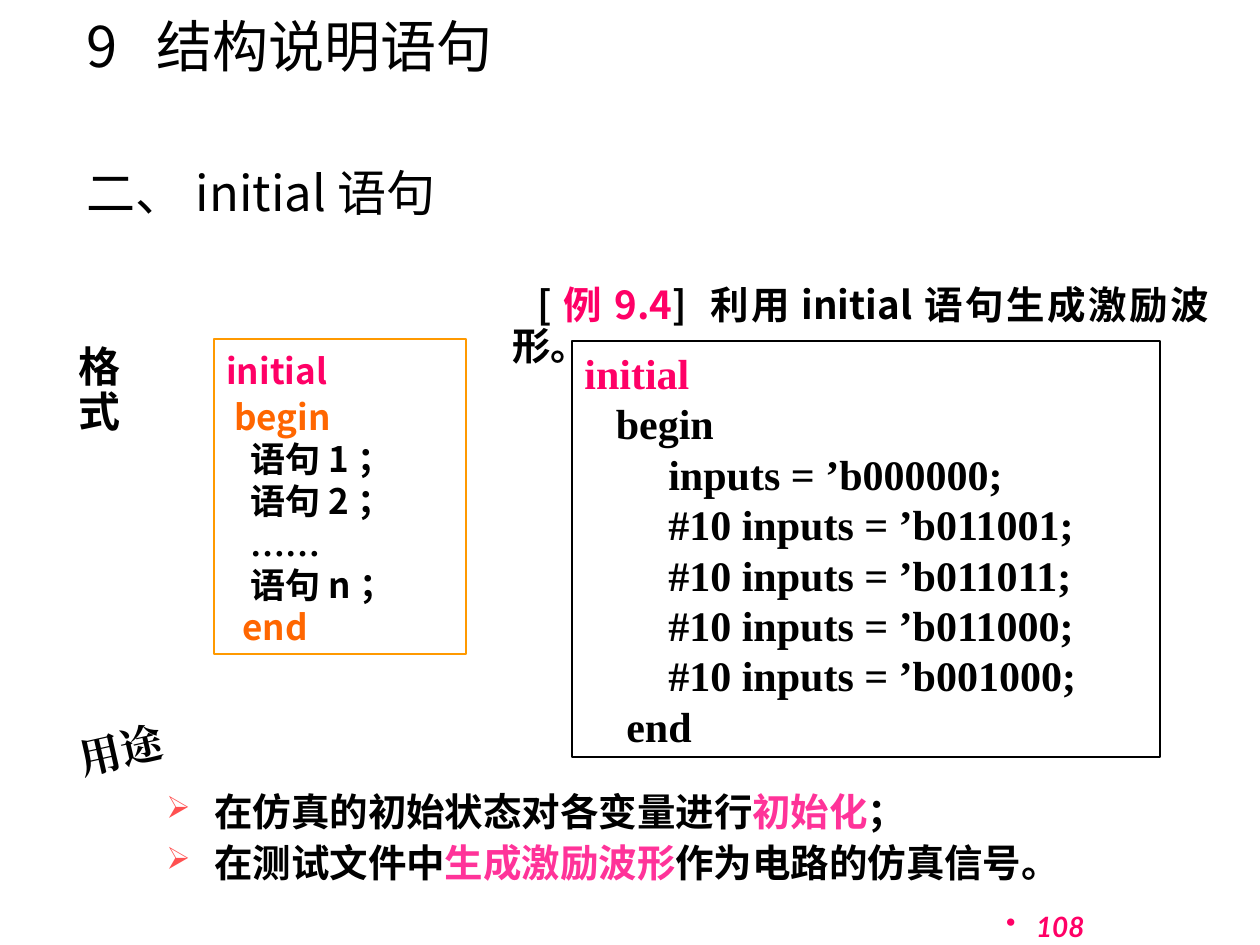
from lxml.etree import SubElement
from pptx import Presentation
from pptx.dml.color import RGBColor
from pptx.enum.shapes import MSO_SHAPE
from pptx.enum.text import MSO_ANCHOR, MSO_AUTO_SIZE, PP_ALIGN
from pptx.oxml.ns import qn
from pptx.util import Emu, Pt

SANS, SERIF = "Noto Sans CJK SC", "Times New Roman"
BLACK, ROSE, ORANGE, PINK = "000000", "FF0066", "FF6600", "FF3399"
BOLD = {"bold": True}
JUSTIFIED = {"alignment": PP_ALIGN.JUSTIFY}
SPACED = {**JUSTIFIED, "line_spacing": 1.1}
BOTTOM = {"vertical_anchor": MSO_ANCHOR.BOTTOM}
GROWING = {"auto_size": MSO_AUTO_SIZE.SHAPE_TO_FIT_TEXT}


def px(length):
    """Turn whole pixels into EMU at 126 pixels to the inch."""
    return Emu(round(length * 914400 / 126))


def color(value):
    """Turn a hex string into a colour."""
    return RGBColor.from_string(value)


def apply(target, values):
    """Set each attribute named in a dict of format values."""
    for name, value in values.items():
        setattr(target, name, value)


def add_run(paragraph, text, hex_color, size, name, font):
    """Add a run with one typeface for Latin and East Asian text."""
    run = paragraph.add_run()
    run.text = text
    apply(run.font, {"size": Pt(size), "name": name, **font})
    run.font.color.rgb = color(hex_color)
    SubElement(run.font._element, qn("a:ea"), typeface=name)


def add_bullet(paragraph, character, hex_color, percent, indent):
    """Give a paragraph a coloured bullet with a hanging indent."""
    properties = paragraph._p.get_or_add_pPr()
    properties.set("marL", str(px(indent)))
    properties.set("indent", str(-px(indent)))
    bullet_color = SubElement(properties, qn("a:buClr"))
    SubElement(bullet_color, qn("a:srgbClr"), val=hex_color)
    SubElement(properties, qn("a:buSzPct"), val=str(percent * 1000))
    SubElement(properties, qn("a:buChar"), char=character)


def add_tab(paragraph, position):
    """Add one left tab stop."""
    tabs = SubElement(paragraph._p.get_or_add_pPr(), qn("a:tabLst"))
    SubElement(tabs, qn("a:tab"), pos=str(px(position)), algn="l")


def write(shape, lines, size, name=SANS, font=BOLD, layout=None, frame=None, bullet=None):
    """Fill a shape with lines, each a list of (text, colour[, typeface])."""
    text_frame = shape.text_frame
    apply(text_frame, {"word_wrap": True, **(frame or {})})
    for index, pieces in enumerate(lines):
        paragraph = text_frame.add_paragraph() if index else text_frame.paragraphs[0]
        if bullet:
            add_bullet(paragraph, *bullet)
        line_layout = layout(index) if callable(layout) else layout
        apply(paragraph, line_layout or {})
        for text, hex_color, *typeface in pieces:
            add_run(paragraph, text, hex_color, size, typeface[0] if typeface else name, font)
    return shape


def add_label(slide, left, top, width, height):
    """Add an empty text box."""
    return slide.shapes.add_textbox(*map(px, (left, top, width, height)))


def add_frame(slide, box, line_color, line_width):
    """Add an unfilled outlined rectangle."""
    shape = slide.shapes.add_shape(MSO_SHAPE.RECTANGLE, *map(px, box))
    shape.shadow.inherit = False
    shape.fill.background()
    shape.line.color.rgb = color(line_color)
    shape.line.width = Pt(line_width)
    return shape


def add_headings(slide, left, top, width):
    """Place the chapter title and the section heading."""
    title = add_label(slide, left, top, width, 59)
    write(title, [[("9\t结构说明语句", BLACK)]], 32, font={}, frame=BOTTOM)
    add_tab(title.text_frame.paragraphs[0], 70)
    section = add_label(slide, left, top + 124, width, 80)
    write(section, [[("二、initial语句", BLACK)]], 28, font={}, layout=SPACED)


def add_syntax(slide, left, top):
    """Place the syntax label and its framed template."""
    write(add_label(slide, left, top + 1, 108, 58), [[("格式", BLACK)]], 24,
          layout={"line_spacing": 0.9}, frame={"word_wrap": False})
    statements = [[(f"   语句{item}；", BLACK)] for item in "12n"]
    dots = [("   ", BLACK), ("……", BLACK, SERIF)]
    lines = [[("initial", ROSE)], [(" ", BLACK), ("begin", ORANGE)],
             *statements[:2], dots, statements[2],
             [("  ", BLACK), ("end", ORANGE)]]
    write(add_frame(slide, (left + 148, top, 252, 315), "FF9900", 0.75), lines, 20,
          layout=lambda index: SPACED if index < 2 else {}, frame={**BOTTOM, **GROWING})


def add_example(slide, left, top):
    """Place the example caption and its framed code."""
    caption = [("[", BLACK), ("例9.4", ROSE), ("] 利用initial语句生成激励波形。", BLACK)]
    label = write(add_label(slide, left, top, 722, 57), [caption], 22,
                  layout={**JUSTIFIED, "line_spacing": 0.9})
    label.text_frame.paragraphs[0]._p.get_or_add_pPr().set("indent", str(px(25)))
    values = ["011001", "011011", "011000", "001000"]
    code = ["   begin", "        inputs = ’b000000;",
            *(f"        #10 inputs = ’b{value};" for value in values), "    end"]
    lines = [[("initial", ROSE)]] + [[(line, BLACK)] for line in code]
    write(add_frame(slide, (left + 72, top + 61, 588, 416), BLACK, 1), lines, 24, SERIF,
          layout=JUSTIFIED, frame={**BOTTOM, **GROWING})


def add_uses(slide, left, top):
    """Place the tilted label and the two bulleted uses."""
    label = add_label(slide, left, top, 173, 87)
    label.rotation = 347.2
    write(label, [[("用途", BLACK)]], 24, SERIF, layout={"alignment": PP_ALIGN.CENTER},
          frame={"vertical_anchor": MSO_ANCHOR.MIDDLE, "word_wrap": False})
    lines = [[("在仿真的初始状态对各变量进行", BLACK), ("初始化", PINK), ("；", BLACK)],
             [("在测试文件中", BLACK), ("生成激励波形", PINK), ("作为电路的仿真信号。", BLACK)]]
    write(add_label(slide, left + 120, top + 71, 950, 125), lines, 22,
          layout=SPACED, bullet=("➢", "FF5050", 80, 48))


def add_page_number(slide, left, top):
    """Place the bulleted page number."""
    write(add_label(slide, left, top, 294, 66), [[("108", ROSE)]], 16, "Lato",
          font={"bold": True, "italic": True}, layout={"alignment": PP_ALIGN.RIGHT},
          frame=BOTTOM, bullet=("•", ROSE, 100, 30))


def main():
    """Build and save the slide."""
    presentation = Presentation()
    apply(presentation, {"slide_width": px(1260), "slide_height": px(945)})
    slide = presentation.slides.add_slide(presentation.slide_layouts[6])
    add_page_number(slide, 803, 883)
    add_headings(slide, 74, 26, 784)
    add_syntax(slide, 66, 339)
    add_example(slide, 500, 280)
    add_uses(slide, 34, 706)
    presentation.save("out.pptx")


if __name__ == "__main__":
    main()
